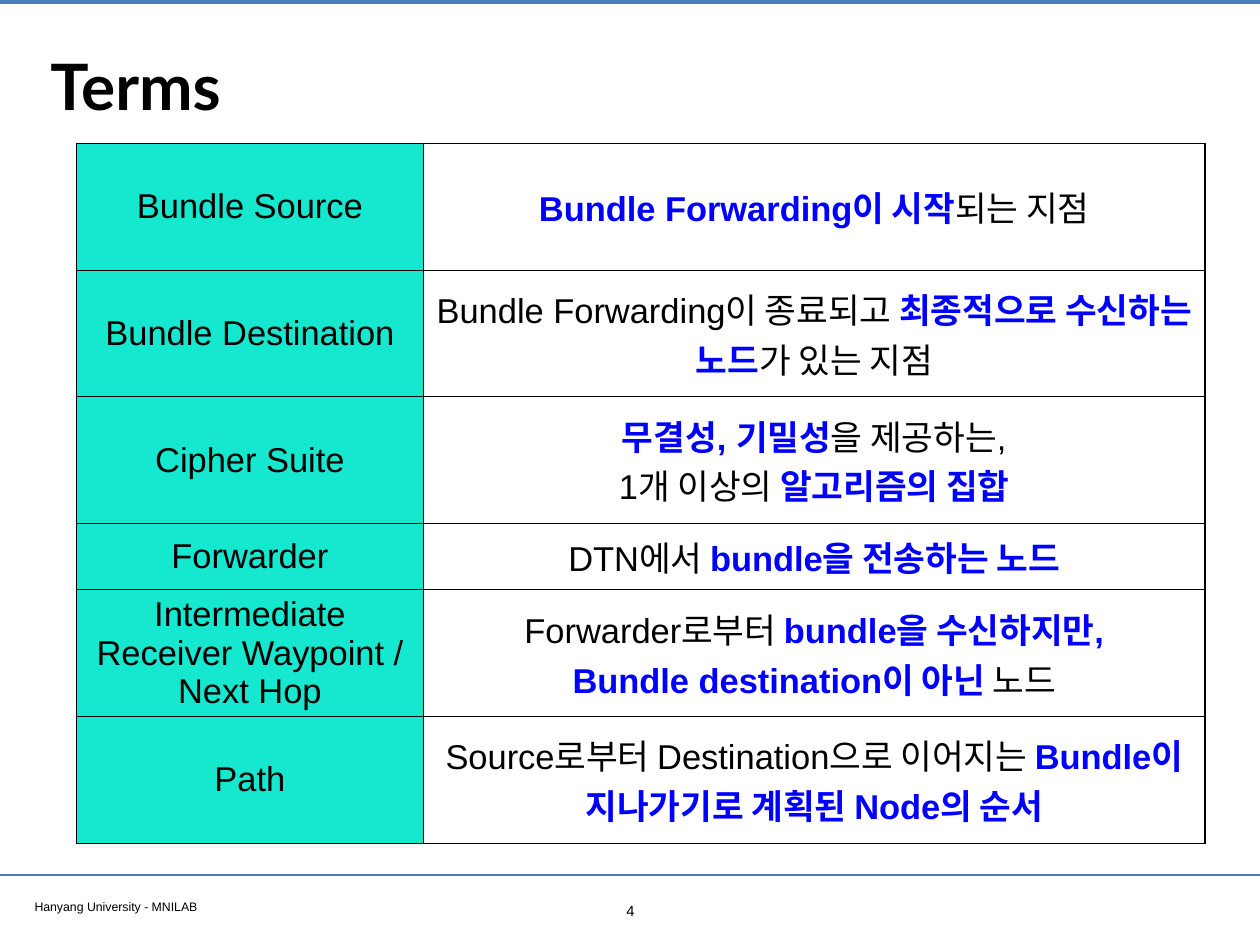
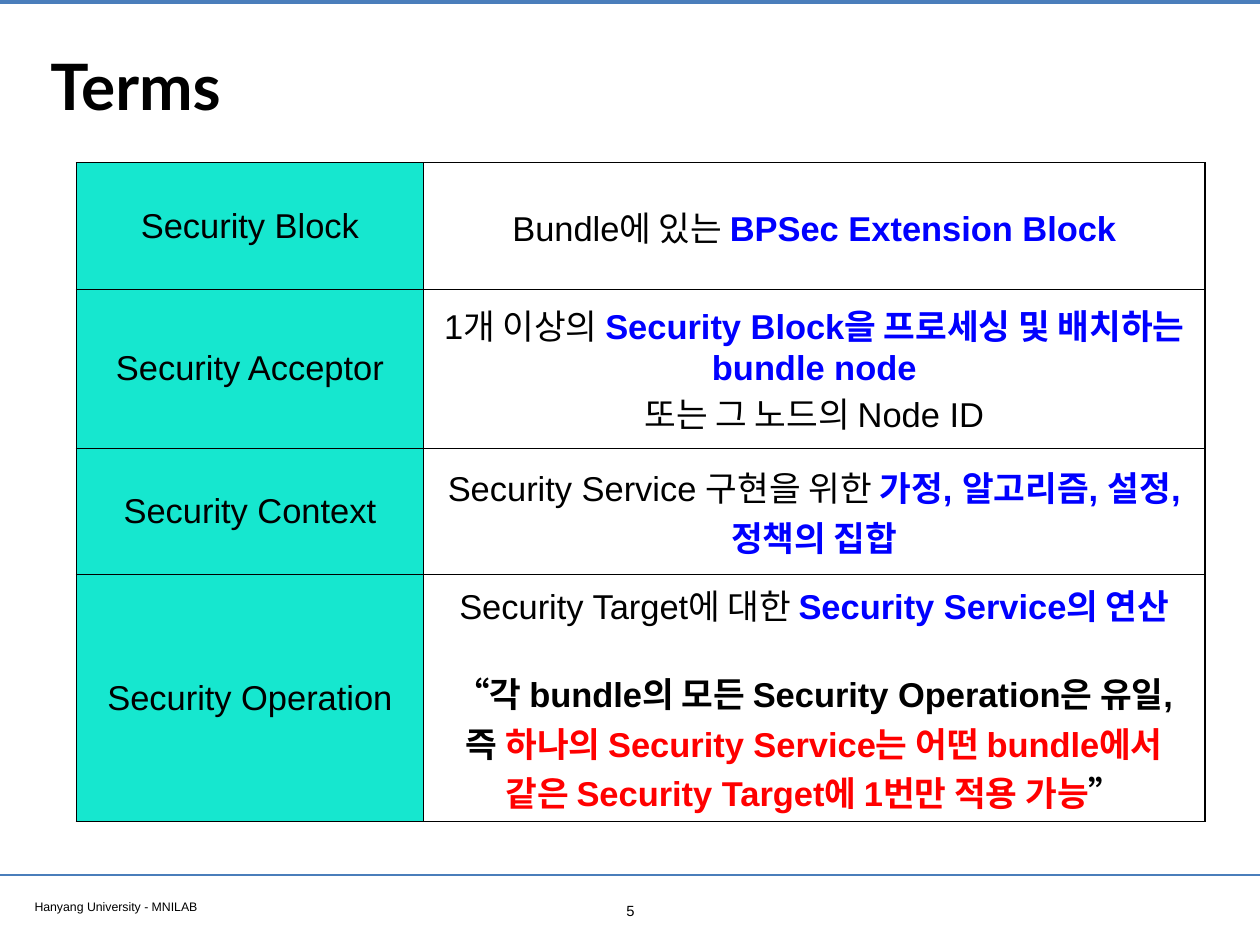
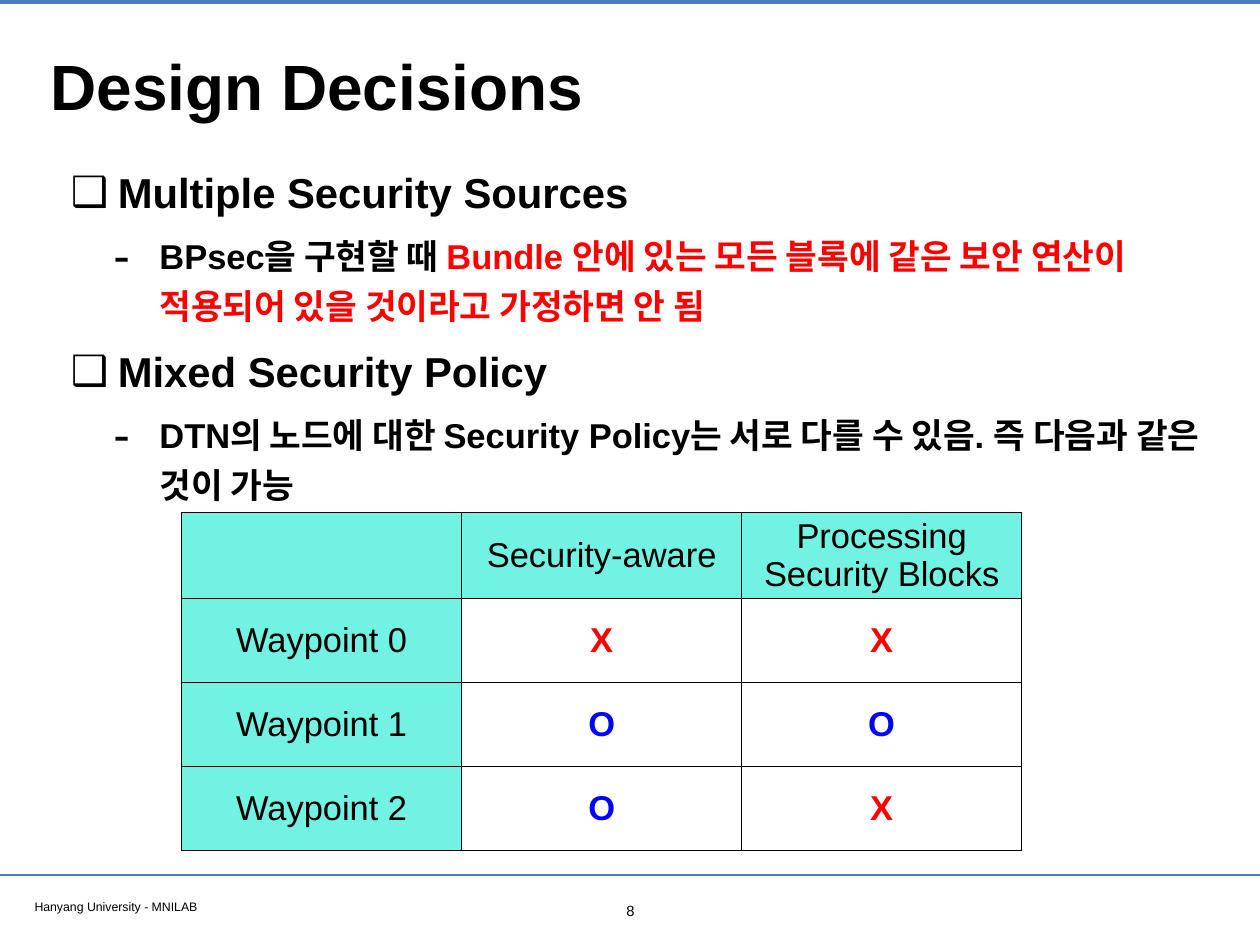
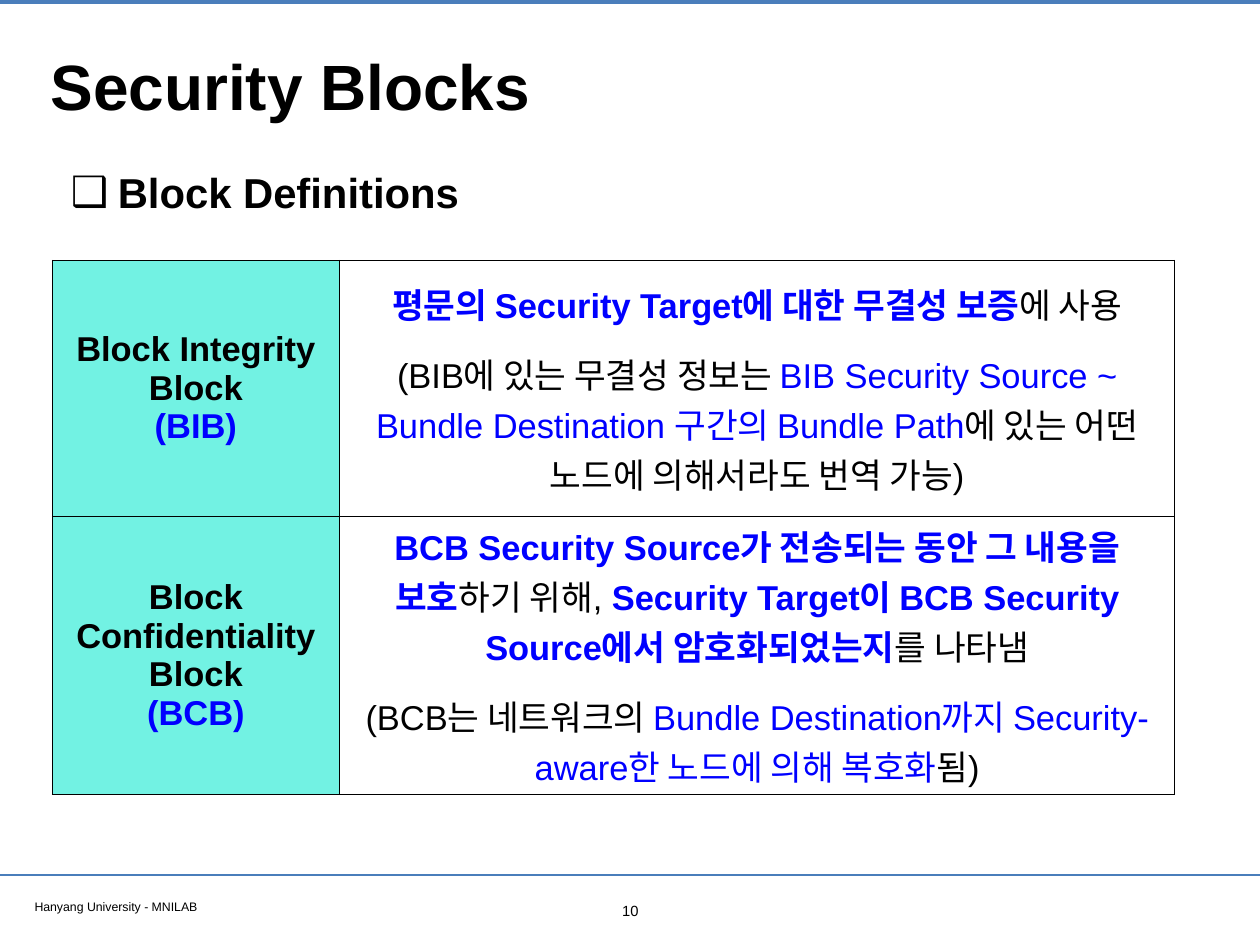
from dataclasses import dataclass

from lxml.etree import SubElement
from pptx import Presentation
from pptx.dml.color import RGBColor
from pptx.enum.shapes import MSO_CONNECTOR
from pptx.enum.text import MSO_ANCHOR, MSO_AUTO_SIZE, PP_ALIGN
from pptx.oxml.ns import qn
from pptx.util import Inches, Pt


@dataclass(frozen=True)
class Theme:
    black: str = "000000"
    blue: str = "0000FF"
    red: str = "FF0000"
    rule: str = "4A7EBB"
    teal: str = "16E7CF"
    aqua: str = "72F2E3"
    font: str = "Arial"
    terms_font: str = "Lato"
    title: int = 52
    heading: int = 34
    text: int = 28
    number: int = 12
    footer: int = 10
    border: int = 1
    inset: float = 0.06


THEME = Theme()
WIDTH, HEIGHT = 14.22, 10.67
FOOTER = "Hanyang University - MNILAB"
RULES = [(0.02, 3.2), (9.88, 2)]
BULLETS = [
    {"char": "❑", "percent": 100, "margin": 0.53, "indent": -0.53, "size": THEME.heading},
    {"char": "-", "percent": 145, "margin": 1, "indent": -0.52, "size": THEME.text},
]
STYLES = {
    "plain": (THEME.black, False),
    "strong": (THEME.black, True),
    "key": (THEME.blue, True),
    "blue": (THEME.blue, False),
    "warn": (THEME.red, True),
}
YES, NO = [[("O", "key")]], [[("X", "warn")]]

SLIDES = [
    {
        "title": "Terms", "title_font": THEME.terms_font, "number": 4,
        "table": {
            "at": (0.86, 1.62), "columns": [3.92, 8.82], "fill": THEME.teal,
            "heights": [1.43, 1.43, 1.43, 0.75, 1.43, 1.43],
            "rows": [
                [[["Bundle Source"]],
                 [[("Bundle Forwarding이 시작", "key"), "되는 지점"]]],
                [[["Bundle Destination"]],
                 [["Bundle Forwarding이 종료되고 ", ("최종적으로 수신하는 노드", "key"), "가 있는 지점"]]],
                [[["Cipher Suite"]],
                 [[("무결성, 기밀성", "key"), "을 제공하는,"],
                  ["1개 이상의 ", ("알고리즘의 집합", "key")]]],
                [[["Forwarder"]],
                 [["DTN에서 ", ("bundle을 전송하는 노드", "key")]]],
                [[["Intermediate Receiver Waypoint / Next Hop"]],
                 [["Forwarder로부터 ", ("bundle을 수신하지만,", "key")],
                  [("Bundle destination이 아닌", "key"), " 노드"]]],
                [[["Path"]],
                 [["Source로부터 Destination으로 이어지는 ",
                   ("Bundle이 지나가기로 계획된 Node의 순서", "key")]]],
            ],
        },
    },
    {
        "title": "Terms", "title_font": THEME.terms_font, "number": 5,
        "table": {
            "at": (0.86, 1.84), "columns": [3.92, 8.82], "fill": THEME.teal,
            "heights": [1.43, 1.79, 1.43, 2.79], "gap": 31,
            "rows": [
                [[["Security Block"]],
                 [["Bundle에 있는 ", ("BPSec Extension Block", "key")]]],
                [[["Security Acceptor"]],
                 [["1개 이상의 ", ("Security Block을 프로세싱 및 배치하는 bundle node", "key")],
                  ["또는 그 노드의 Node ID"]]],
                [[["Security Context"]],
                 [["Security Service 구현을 위한 ", ("가정, 알고리즘, 설정, 정책의 집합", "key")]]],
                [[["Security Operation"]],
                 [["Security Target에 대한 ", ("Security Service의 연산", "key")],
                  "gap",
                  [("“각 bundle의 모든 Security Operation은 유일,", "strong")],
                  [("즉 ", "strong"),
                   ("하나의 Security Service는 어떤 bundle에서 같은 Security Target에 1번만 적용 가능", "warn"),
                   ("”", "strong")]]],
            ],
        },
    },
    {
        "title": "Design Decisions", "number": 8, "body_height": 7.47,
        "body": [
            (0, [("Multiple Security Sources", "strong")]),
            (1, [("BPsec을 구현할 때 ", "strong"),
                 ("Bundle 안에 있는 모든 블록에 같은 보안 연산이 적용되어 있을 것이라고 가정하면 안 됨", "warn")]),
            (0, [("Mixed Security Policy", "strong")]),
            (1, [("DTN의 노드에 대한 Security Policy는 서로 다를 수 있음. 즉 다음과 같은 것이 가능", "strong")]),
        ],
        "table": {
            "at": (2.05, 5.79), "columns": [3.16] * 3, "fill": THEME.aqua,
            "heights": [0.95] * 4, "header": True,
            "rows": [
                [[], [["Security-aware"]], [["Processing Security Blocks"]]],
                [[["Waypoint 0"]], NO, NO],
                [[["Waypoint 1"]], YES, YES],
                [[["Waypoint 2"]], YES, NO],
            ],
        },
    },
    {
        "title": "Security Blocks", "number": 10, "body_height": 0.92,
        "body": [(0, [("Block Definitions", "strong")])],
        "table": {
            "at": (0.59, 2.94), "columns": [3.24, 9.43], "fill": THEME.aqua,
            "heights": [2.89, 3.13], "gap": 17,
            "rows": [
                [[[("Block Integrity Block", "strong")], [("(BIB)", "key")]],
                 [[("평문의 Security Target에 대한 무결성 보증", "key"), "에 사용"],
                  "gap",
                  ["(BIB에 있는 무결성 정보는 ",
                   ("BIB Security Source ~ Bundle Destination 구간의 Bundle Path", "blue"),
                   "에 있는 어떤 노드에 의해서라도 번역 가능)"]]],
                [[[("Block Confidentiality Block", "strong")], [("(BCB)", "key")]],
                 [[("BCB Security Source가 전송되는 동안 그 내용을 보호", "key"), "하기 위해, ",
                   ("Security Target이 BCB Security Source에서 암호화되었는지", "key"), "를 나타냄"],
                  "gap",
                  ["(BCB는 네트워크의 ",
                   ("Bundle Destination까지 Security-aware한 노드에 의해 복호화", "blue"), "됨)"]]],
            ],
        },
    },
]


def apply_style(font, style):
    color, font.bold = STYLES[style]
    font.color.rgb = RGBColor.from_string(color)


def write(paragraph, runs, size, align=PP_ALIGN.LEFT, name=THEME.font):
    paragraph.alignment = align
    paragraph.font.name = name
    paragraph.font.size = Pt(size)
    pieces = [(run, "plain") if isinstance(run, str) else run for run in runs]
    uniform = len({style for _, style in pieces}) == 1
    if uniform:
        apply_style(paragraph.font, pieces[0][1])
    for text, style in pieces:
        run = paragraph.add_run()
        run.text = text
        if not uniform:
            apply_style(run.font, style)


def next_paragraph(frame, index):
    return frame.add_paragraph() if index else frame.paragraphs[0]


def place(shape, left, top, width, height):
    shape.left, shape.top = Inches(left), Inches(top)
    shape.width, shape.height = Inches(width), Inches(height)


def prepare(frame, anchor=MSO_ANCHOR.TOP):
    frame.word_wrap = True
    frame.auto_size = MSO_AUTO_SIZE.NONE
    frame.vertical_anchor = anchor
    frame.margin_left = frame.margin_right = Inches(THEME.inset)
    frame.margin_top = frame.margin_bottom = Inches(THEME.inset)


def add_label(slide, box, text, size, align):
    label = slide.shapes.add_textbox(*map(Inches, box))
    prepare(label.text_frame)
    write(label.text_frame.paragraphs[0], [text], size, align)
    return label


def add_rule(slide, y, weight):
    rule = slide.shapes.add_connector(
        MSO_CONNECTOR.STRAIGHT, 0, Inches(y), Inches(WIDTH), Inches(y))
    rule.line.color.rgb = RGBColor.from_string(THEME.rule)
    rule.line.width = Pt(weight)
    SubElement(rule._element.spPr, qn("a:effectLst"))
    return rule


def move_bands_to_master(slide, master):
    bands = [add_rule(slide, *rule) for rule in RULES]
    bands.append(add_label(slide, (0.33, 10.09, 5.46, 0.26), FOOTER, THEME.footer, PP_ALIGN.LEFT))
    for band in bands:
        master.shapes._spTree.append(band._element)


def add_title(slide, text, name):
    title = slide.shapes.title
    place(title, 0.51, 0.28, 13.21, 1.35)
    prepare(title.text_frame, MSO_ANCHOR.MIDDLE)
    write(title.text_frame.paragraphs[0], [(text, "strong")], THEME.title, name=name)


def add_bullet(paragraph, bullet):
    properties = paragraph._p.get_or_add_pPr()
    properties.set("marL", str(Inches(bullet["margin"])))
    properties.set("indent", str(Inches(bullet["indent"])))
    SubElement(properties, qn("a:buSzPct"), val=str(bullet["percent"] * 1000))
    SubElement(properties, qn("a:buChar"), char=bullet["char"])


def fill_body(slide, items, height):
    body = slide.placeholders[1]
    place(body, 0.74, 1.71, 13.35, height)
    prepare(body.text_frame)
    for index, (level, runs) in enumerate(items):
        paragraph = next_paragraph(body.text_frame, index)
        paragraph.level = level
        add_bullet(paragraph, BULLETS[level])
        paragraph.line_spacing = 1.2
        paragraph.space_before = Pt(8 if index else 0)
        write(paragraph, runs, BULLETS[level]["size"])


def add_borders(cell):
    properties = cell._tc.get_or_add_tcPr()
    for side in ("lnL", "lnR", "lnT", "lnB"):
        border = SubElement(properties, qn(f"a:{side}"), w=str(Pt(THEME.border)))
        SubElement(SubElement(border, qn("a:solidFill")), qn("a:srgbClr"), val=THEME.black)


def fill_cell(cell, paragraphs, fill, gap):
    add_borders(cell)
    if fill:
        cell.fill.solid()
        cell.fill.fore_color.rgb = RGBColor.from_string(fill)
    else:
        cell.fill.background()
    cell.vertical_anchor = MSO_ANCHOR.MIDDLE
    index, space = 0, 0
    for runs in paragraphs:
        if runs == "gap":
            space = gap
            continue
        paragraph = next_paragraph(cell.text_frame, index)
        if space:
            paragraph.space_before = Pt(space)
        write(paragraph, runs, THEME.text, PP_ALIGN.CENTER)
        index, space = index + 1, 0


def add_grid(slide, at, columns, heights, rows, fill, gap=0, header=False):
    table = slide.shapes.add_table(
        len(rows), len(columns), *map(Inches, (*at, sum(columns), sum(heights)))).table
    table.first_row = table.horz_banding = False
    for column, width in zip(table.columns, columns):
        column.width = Inches(width)
    for r, (height, cells) in enumerate(zip(heights, rows)):
        table.rows[r].height = Inches(height)
        for c, paragraphs in enumerate(cells):
            labelled = c == 0 or (header and r == 0)
            fill_cell(table.cell(r, c), paragraphs, fill if labelled else None, gap)


def main():
    prs = Presentation()
    prs.slide_width, prs.slide_height = Inches(WIDTH), Inches(HEIGHT)
    title_and_content, title_only = prs.slide_layouts[1], prs.slide_layouts[5]
    for index, content in enumerate(SLIDES):
        slide = prs.slides.add_slide(title_and_content if "body" in content else title_only)
        if index == 0:
            move_bands_to_master(slide, prs.slide_master)
        add_title(slide, content["title"], content.get("title_font", THEME.font))
        if "body" in content:
            fill_body(slide, content["body"], content["body_height"])
        add_label(slide, (6.92, 10.12, 0.39, 0.31), str(content["number"]),
                  THEME.number, PP_ALIGN.CENTER)
        add_grid(slide, **content["table"])
    prs.save("out.pptx")


if __name__ == "__main__":
    main()
